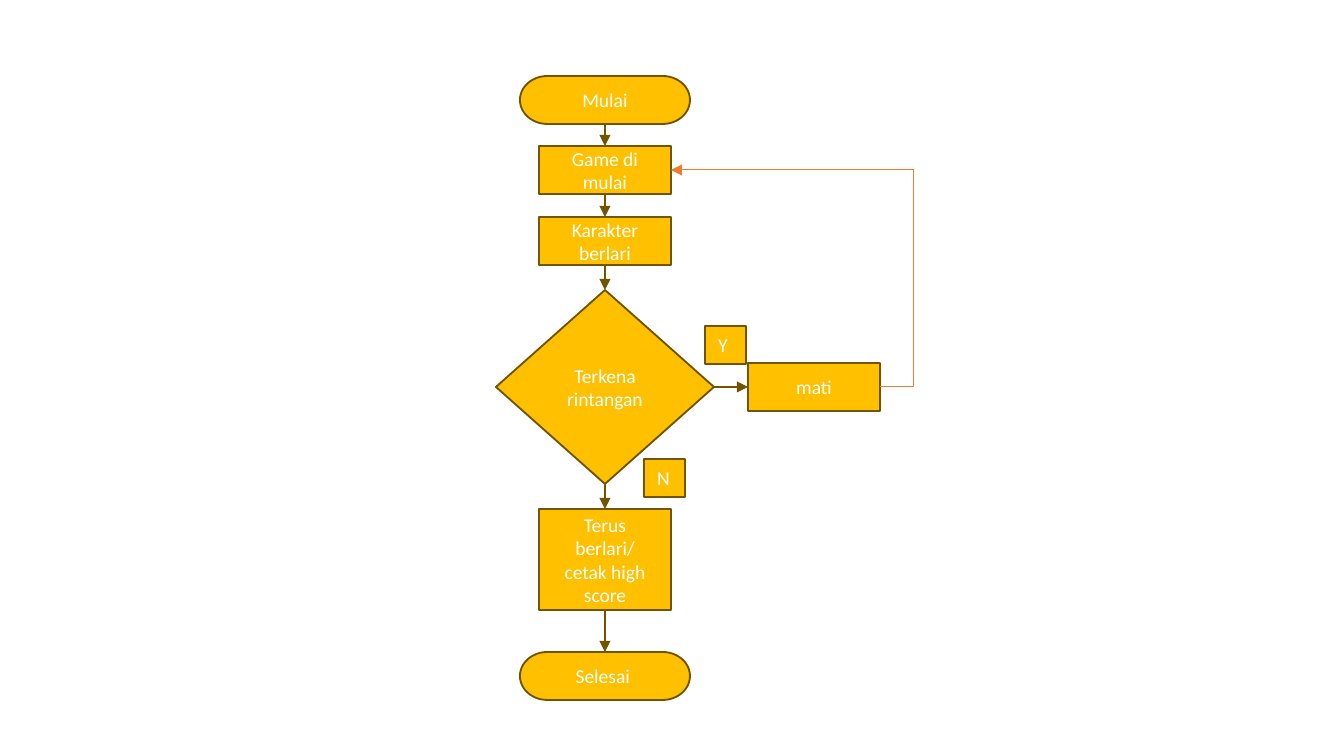
from pptx import Presentation
from pptx.dml.color import RGBColor
from pptx.enum.shapes import MSO_CONNECTOR as CXN, MSO_SHAPE as SHAPE
from pptx.enum.text import MSO_ANCHOR as ANCHOR, MSO_AUTO_SIZE as AUTO, PP_ALIGN as ALIGN
from pptx.oxml.ns import qn
from pptx.util import Emu, Pt
from lxml.etree import SubElement

SCALE = 914400 / 134.4
AXIS = 605
AMBER, BROWN, ORANGE, WHITE = "FFC000", "705400", "ED7D31", "FFFFFF"
TOP, LEFT, BOTTOM, RIGHT = range(4)


def px(n):
    return Emu(round(n * SCALE))


def rgb(color):
    return RGBColor.from_string(color)


def set_text(sp, text, size=10.5, color=WHITE, align=ALIGN.CENTER,
             anchor=ANCHOR.MIDDLE, wrap=True, auto=AUTO.NONE):
    tf = sp.text_frame
    tf.word_wrap = wrap
    tf.auto_size = auto
    tf.vertical_anchor = anchor
    p = tf.paragraphs[0]
    p.alignment = align
    r = p.add_run()
    r.text = text
    r.font.name = "Calibri"
    r.font.size = Pt(size)
    r.font.color.rgb = rgb(color)


def add_box(slide, kind, x, y, w, h, text, **fmt):
    sp = slide.shapes.add_shape(kind, px(x), px(y), px(w), px(h))
    sp.shadow.inherit = False
    sp.fill.solid()
    sp.fill.fore_color.rgb = rgb(AMBER)
    sp.line.color.rgb = rgb(BROWN)
    sp.line.width = Pt(1)
    set_text(sp, text, **fmt)
    return sp


def add_step(slide, kind, y, w, h, text):
    return add_box(slide, kind, AXIS - w / 2, y, w, h, text)


def add_label(slide, x, y, text):
    return add_box(slide, SHAPE.RECTANGLE, x, y, 41, 38, text, align=ALIGN.LEFT,
                   anchor=ANCHOR.TOP, wrap=False, auto=AUTO.SHAPE_TO_FIT_TEXT)


def add_arrow(slide, start, start_site, end, end_site,
              kind=CXN.STRAIGHT, color=BROWN, width=1):
    c = slide.shapes.add_connector(kind, 0, 0, 0, 0)
    c.begin_connect(start, start_site)
    c.end_connect(end, end_site)
    c.line.color.rgb = rgb(color)
    c.line.width = Pt(width)
    SubElement(c.line._get_or_add_ln(), qn("a:tailEnd"), type="triangle")
    SubElement(c._element.spPr, qn("a:effectLst"))
    return c


def set_bend(connector, value):
    geom = connector._element.spPr.find(qn("a:prstGeom"))
    av = geom.find(qn("a:avLst"))
    SubElement(av, qn("a:gd"), name="adj1", fmla=f"val {value}")


def main():
    prs = Presentation()
    prs.slide_width, prs.slide_height = px(1344), px(756)
    slide = prs.slides.add_slide(prs.slide_layouts[6])

    end, process = SHAPE.FLOWCHART_TERMINATOR, SHAPE.FLOWCHART_PROCESS
    steps = [add_step(slide, *row) for row in (
        (end, 76, 170, 48, "Mulai"),
        (process, 146, 132, 48, "Game di mulai"),
        (process, 217, 132, 48, "Karakter berlari"),
        (SHAPE.FLOWCHART_DECISION, 290, 218, 194, "Terkena rintangan"),
        (process, 509, 132, 101, "Terus berlari/ cetak high score"),
        (end, 652, 170, 48, "Selesai "),
    )]
    game, hit = steps[1], steps[3]
    dead = add_box(slide, process, 748, 363, 132, 48, "mati")

    for upper, lower in zip(steps, steps[1:]):
        add_arrow(slide, upper, BOTTOM, lower, TOP)
    add_arrow(slide, hit, RIGHT, dead, LEFT)
    restart = add_arrow(slide, dead, RIGHT, game, RIGHT,
                        kind=CXN.ELBOW, color=ORANGE, width=0.5)
    set_bend(restart, -16100)

    add_label(slide, 705, 326, "Y")
    add_label(slide, 644, 459, "N")
    prs.save("out.pptx")


if __name__ == "__main__":
    main()
